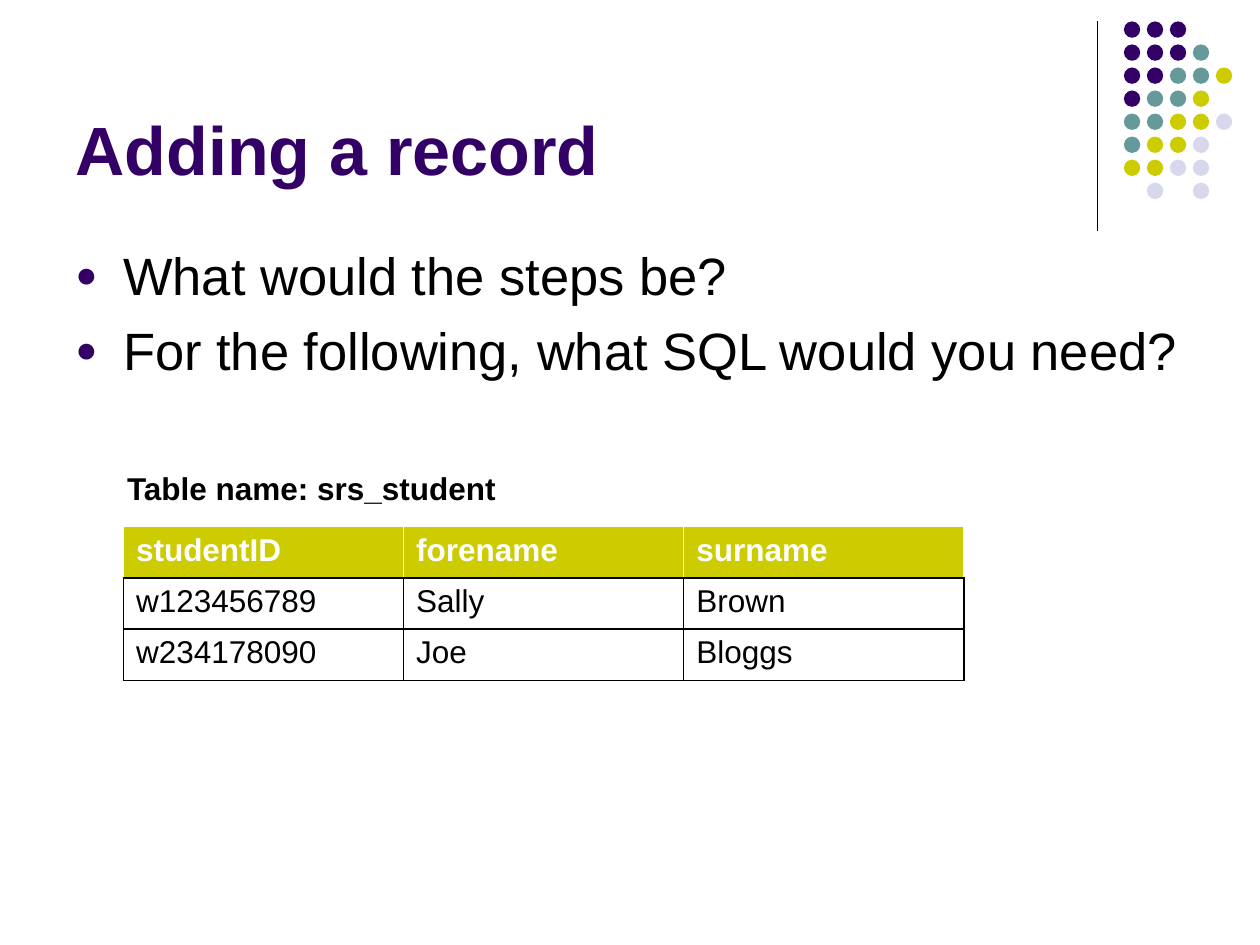
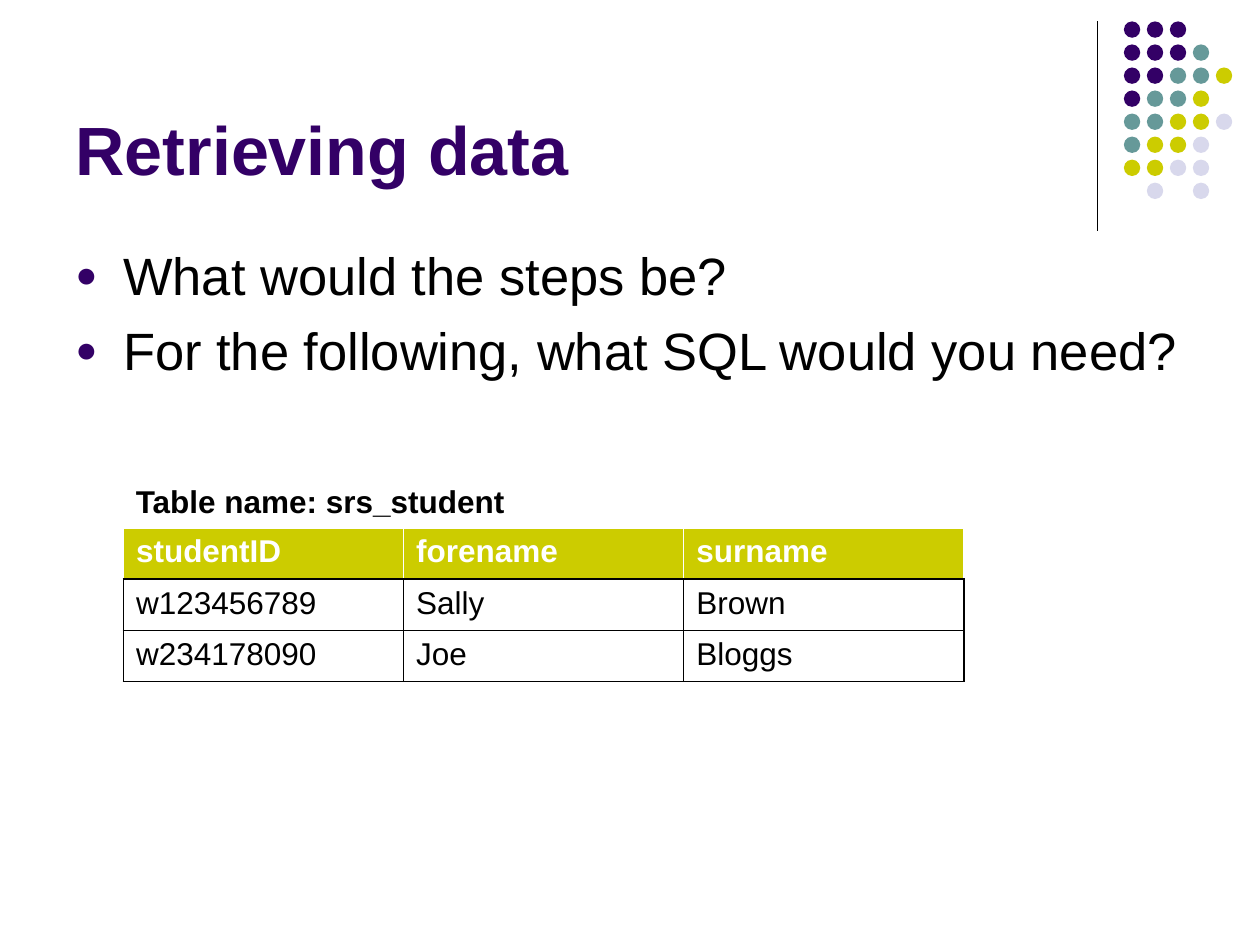
"""Build two slides on SQL record steps, with a shared title style and dot pattern."""
from dataclasses import dataclass

from lxml.etree import SubElement
from pptx import Presentation
from pptx.dml.color import RGBColor as Color
from pptx.enum.shapes import MSO_CONNECTOR as Connector, MSO_SHAPE as Shape
from pptx.enum.text import MSO_ANCHOR as Anchor, MSO_AUTO_SIZE as AutoSize, PP_ALIGN as Align
from pptx.oxml.ns import qn
from pptx.util import Inches, Pt


@dataclass(frozen=True)
class Theme:
    font: str = "Arial"
    purple: str = "330066"
    teal: str = "669999"
    lime: str = "CCCC00"
    lilac: str = "D8D8EC"
    black: str = "000000"
    white: str = "FFFFFF"
    title_size: int = 39
    body_size: int = 30
    table_size: int = 18


theme = Theme()
DOT_COLORS = {"P": theme.purple, "T": theme.teal, "L": theme.lime, "S": theme.lilac}
DOT_ROWS = ["PPP", "PPPT", "PPTTL", "PTTL", "TTLLS", "TLLS", "LLSS", " S S"]
DOT_SIZE = 0.13
COLUMN_PITCH = 0.73 / 4
ROW_PITCH = 1.28 / 7

QUESTIONS = ["What would the steps be?", "For the following, what SQL would you need?"]
STUDENTS = [
    ["studentID", "forename", "surname"],
    ["w123456789", "Sally", "Brown"],
    ["w234178090", "Joe", "Bloggs"],
]
PAGES = [
    ("Adding a record", 4.18, (0.91, 3.67)),
    ("Retrieving data", 4.19, (0.98, 3.78)),
]


def write(para, text, size, color, bold=False):
    para.text = text
    para.alignment = Align.LEFT
    para.font.name = theme.font
    para.font.size = Pt(size)
    para.font.bold = bold
    para.font.color.rgb = Color.from_string(color)


def add_border(cell, side, color):
    line = SubElement(cell._tc.get_or_add_tcPr(), qn(f"a:ln{side}"), w=str(Pt(1)))
    fill = SubElement(line, qn("a:solidFill"))
    SubElement(fill, qn("a:srgbClr"), val=color)


deck = Presentation()
deck.slide_width = Inches(10)
deck.slide_height = Inches(7.5)

for title_text, table_top, (label_left, label_top) in PAGES:
    page = deck.slides.add_slide(deck.slide_layouts[5])

    divider = page.shapes.add_connector(
        Connector.STRAIGHT, Inches(8.71), Inches(0.17), Inches(8.71), Inches(1.83))
    divider.line.color.rgb = Color.from_string(theme.black)
    divider.line.width = Pt(0.75)
    SubElement(divider._element.spPr, qn("a:effectLst"))

    dots = page.shapes.add_group_shape()
    for row, pattern in enumerate(DOT_ROWS):
        for column, key in enumerate(pattern):
            if key == " ":
                continue
            dot = dots.shapes.add_shape(
                Shape.OVAL,
                Inches(8.92 + column * COLUMN_PITCH), Inches(0.17 + row * ROW_PITCH),
                Inches(DOT_SIZE), Inches(DOT_SIZE))
            dot.shadow.inherit = False
            dot.fill.solid()
            dot.fill.fore_color.rgb = Color.from_string(DOT_COLORS[key])
            dot.line.fill.background()

    title = page.shapes.title
    title.left, title.top = Inches(0.5), Inches(0.13)
    title.width, title.height = Inches(8.25), Inches(1.42)
    title.text_frame.auto_size = AutoSize.NONE
    title.text_frame.vertical_anchor = Anchor.BOTTOM
    write(title.text_frame.paragraphs[0], title_text, theme.title_size, theme.purple, bold=True)

    body = page.shapes.add_textbox(Inches(0.5), Inches(1.88), Inches(9), Inches(4.82))
    frame = body.text_frame
    frame.word_wrap = True
    for index, question in enumerate(QUESTIONS):
        para = frame.add_paragraph() if index else frame.paragraphs[0]
        write(para, question, theme.body_size, theme.black)
        para.space_before = Pt(7)
        properties = para._p.get_or_add_pPr()
        properties.set("marL", str(Inches(0.38)))
        properties.set("indent", str(Inches(-0.38)))
        bullet_color = properties.makeelement(qn("a:buClr"))
        SubElement(bullet_color, qn("a:srgbClr"), val=theme.purple)
        bullet_parts = [
            bullet_color,
            properties.makeelement(qn("a:buSzPct"), val="70000"),
            properties.makeelement(qn("a:buFont"), typeface=theme.font),
            properties.makeelement(qn("a:buChar"), char="●"),
        ]
        for part in bullet_parts:
            properties.find(qn("a:defRPr")).addprevious(part)

    table = page.shapes.add_table(
        len(STUDENTS), len(STUDENTS[0]),
        Inches(0.98), Inches(table_top), Inches(6.67), Inches(1.22)).table
    table.horz_banding = False
    for row, values in enumerate(STUDENTS):
        is_header = row == 0
        for column, value in enumerate(values):
            cell = table.cell(row, column)
            edge = theme.white if is_header else theme.black
            write(cell.text_frame.paragraphs[0], value, theme.table_size, edge, bold=is_header)
            for side in "LRT":
                add_border(cell, side, edge if side != "T" or row != 1 else theme.black)
            add_border(cell, "B", theme.black)
            if is_header:
                cell.fill.solid()
                cell.fill.fore_color.rgb = Color.from_string(theme.lime)
            else:
                cell.fill.background()

    label = page.shapes.add_textbox(
        Inches(label_left), Inches(label_top), Inches(3.15), Inches(0.4))
    label.text_frame.word_wrap = True
    label.text_frame.auto_size = AutoSize.SHAPE_TO_FIT_TEXT
    write(label.text_frame.paragraphs[0], "Table name: srs_student",
          theme.table_size, theme.black, bold=True)

deck.save("out.pptx")
